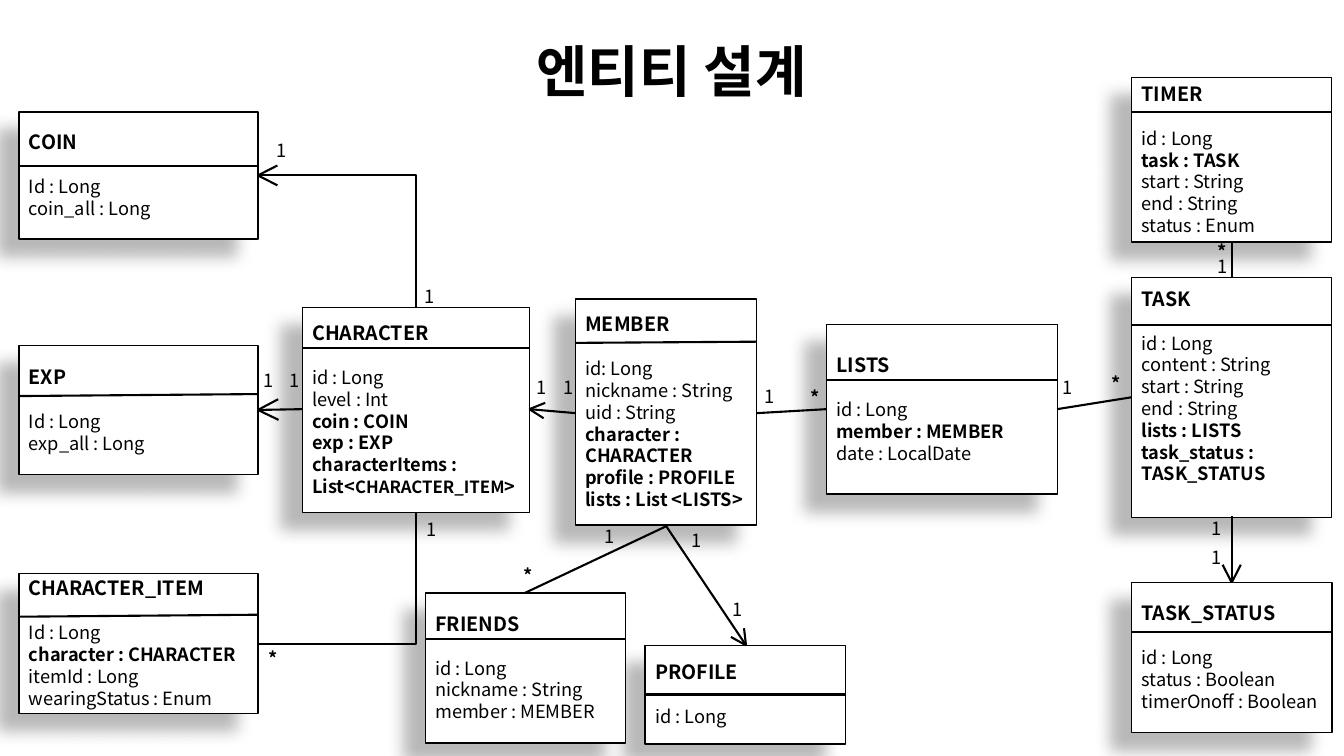
from dataclasses import dataclass
from math import atan2, cos, radians, sin

from lxml.etree import SubElement
from pptx import Presentation
from pptx.dml.color import RGBColor
from pptx.enum.shapes import MSO_CONNECTOR, MSO_SHAPE
from pptx.enum.text import MSO_ANCHOR, PP_ALIGN
from pptx.oxml.ns import qn
from pptx.util import Cm, Pt


@dataclass(frozen=True)
class Theme:
    font: str = "Noto Sans CJK KR"
    ink: RGBColor = RGBColor(0, 0, 0)
    paper: RGBColor = RGBColor(255, 255, 255)
    title: int = 40
    heading: int = 14
    body: int = 13
    small: int = 12
    line_pitch: float = 15.6
    outline: float = 1
    stroke: float = 1.5


THEME = Theme()

# name: left, top, width, height, divider start and end height, attributes
# (a leading "!" marks a relation, set in bold; "|" parts off a smaller span)
ENTITIES = {
    "COIN": (0.48, 2.82, 6.02, 3.2, 4.19, 4.19,
             ["Id : Long", "coin_all : Long"]),
    "EXP": (0.48, 8.71, 6.02, 3.25, 9.98, 9.93,
            ["Id : Long", "exp_all : Long"]),
    "CHARACTER_ITEM": (0.48, 14.45, 6.02, 3.53, 15.54, 15.49,
                       ["Id : Long", "!character : CHARACTER",
                        "itemId : Long", "wearingStatus : Enum"]),
    "CHARACTER": (7.62, 7.75, 5.72, 5.16, 8.76, 8.76,
                  ["id : Long", "level : Int", "!coin : COIN", "!exp : EXP",
                   "!characterItems : List<|CHARACTER_ITEM|>"]),
    "MEMBER": (14.5, 7.54, 4.57, 5.69, 8.64, 8.61,
               ["id: Long", "nickname : String", "uid : String",
                "!character : CHARACTER", "!profile : PROFILE",
                "!lists : List <LISTS>"]),
    "PROFILE": (16.26, 16.26, 5.05, 2.49, 17.5, 17.5, ["id : Long"]),
    "LISTS": (20.83, 8.18, 5.82, 4.27, 9.58, 9.58,
              ["id : Long", "!member : MEMBER", "date : LocalDate"]),
    "TASK": (28.52, 6.99, 5.03, 6.05, 8.18, 8.18,
             ["id : Long", "content : String", "start : String",
              "end : String", "!lists : LISTS",
              "!task_status : TASK_STATUS"]),
    "TASK_STATUS": (28.52, 14.68, 5.05, 3.78, 15.93, 15.93,
                    ["id : Long", "status : Boolean",
                     "timerOnoff : Boolean"]),
    "TIMER": (28.52, 1.96, 5.03, 4.14, 2.82, 2.82,
              ["id : Long", "!task : TASK", "start : String",
               "end : String", "status : Enum"]),
    "FRIENDS": (10.72, 14.94, 5.05, 3.78, 16.1, 16.1,
                ["id : Long", "nickname : String", "member : MEMBER"]),
}
EXTRA_BOTTOM = {"TASK": 0.55}

PLAIN_LINKS = [
    ((31.04, 6.1), (31.04, 6.99)),      # TIMER - TASK
    ((19.08, 10.41), (20.83, 10.31)),   # MEMBER - LISTS
    ((26.64, 10.31), (28.52, 10.01)),   # LISTS - TASK
    ((16.79, 13.26), (13.23, 14.94)),   # MEMBER - FRIENDS
]
# start, tip, wing length
ARROW_LINKS = [
    ((31.04, 13.0), (31.04, 14.68), 0.5),    # TASK to TASK_STATUS
    ((7.62, 10.31), (6.5, 10.33), 0.58),     # CHARACTER to EXP
    ((14.5, 10.41), (13.34, 10.31), 0.43),   # MEMBER to CHARACTER
    ((16.79, 13.26), (18.8, 16.26), 0.43),   # MEMBER to PROFILE
]
COIN_END, CHARACTER_TOP = (6.5, 4.42), (10.49, 7.75)
ITEM_END, CHARACTER_BOTTOM = (6.53, 16.23), (10.49, 12.9)

MULTIPLICITIES = {
    "1": [(7.04, 9.17), (6.38, 9.17), (13.94, 9.37), (13.26, 9.35),
          (10.44, 7.06), (10.49, 12.93), (6.71, 3.38), (17.17, 13.21),
          (18.21, 14.96), (14.99, 13.11), (19.02, 9.58), (26.52, 9.35),
          (30.28, 12.9), (30.28, 13.64), (30.43, 6.32)],
    "*": [(6.53, 16.18), (20.17, 9.6), (30.43, 5.92), (27.76, 9.25),
          (12.95, 14.1)],
}


def style_paragraph(para, size, bold=False):
    font = para.font
    font.size, font.bold, font.name = Pt(size), bold, THEME.font
    font.color.rgb = THEME.ink
    defaults = para._p.get_or_add_pPr().get_or_add_defRPr()
    SubElement(defaults, qn("a:ea"), typeface=THEME.font)


def add_shadow(box):
    effects = SubElement(box._element.spPr, qn("a:effectLst"))
    shadow = SubElement(effects, qn("a:outerShdw"), blurRad="150000",
                        dist="250000", dir="8460000", algn="ctr",
                        rotWithShape="0")
    color = SubElement(shadow, qn("a:srgbClr"), val=str(THEME.ink))
    SubElement(color, qn("a:alpha"), val="28000")


def add_line(page, start, end, kind=MSO_CONNECTOR.STRAIGHT):
    line = page.shapes.add_connector(kind, *map(Cm, (*start, *end)))
    line.line.color.rgb = THEME.ink
    line.line.width = Pt(THEME.stroke)
    SubElement(line._element.spPr, qn("a:effectLst"))
    return line


def add_elbow(page, start, end):
    """Run sideways from start, then turn once towards end."""
    line = add_line(page, start, end, MSO_CONNECTOR.ELBOW)
    line._element.spPr.find(qn("a:prstGeom")).set("prst", "bentConnector2")


def add_arrowhead(page, tail, tip, length):
    back = atan2(tail[1] - tip[1], tail[0] - tip[0])
    for turn in (-radians(27), radians(27)):
        wing = (round(tip[0] + length * cos(back + turn), 2),
                round(tip[1] + length * sin(back + turn), 2))
        add_line(page, wing, tip)


def add_entity(page, name, left, top, width, height, start_y, end_y, rows):
    box = page.shapes.add_shape(MSO_SHAPE.RECTANGLE,
                                *map(Cm, (left, top, width, height)))
    box.fill.solid()
    box.fill.fore_color.rgb = THEME.paper
    box.line.color.rgb = THEME.ink
    box.line.width = Pt(THEME.outline)
    add_shadow(box)

    frame = box.text_frame
    frame.word_wrap = True
    frame.vertical_anchor = MSO_ANCHOR.MIDDLE
    frame.margin_bottom = Cm(0.13 + EXTRA_BOTTOM.get(name, 0))
    for index, row in enumerate(["!" + name, *rows]):
        para = frame.paragraphs[0] if index == 0 else frame.add_paragraph()
        para.alignment = PP_ALIGN.LEFT
        para.line_spacing = Pt(THEME.line_pitch)
        if index == 1:
            para.space_before = Pt(THEME.line_pitch)
        for part, text in enumerate(row.lstrip("!").split("|")):
            span = para.add_run()
            span.text = text
            if part == 1:
                span.font.size = Pt(THEME.small)
        style_paragraph(para, THEME.body if index else THEME.heading,
                        row.startswith("!"))
    add_line(page, (left, start_y), (left + width, end_y))


def add_multiplicity(page, text, left, top):
    box = page.shapes.add_textbox(Cm(left), Cm(top), Cm(0.79), Cm(0.81))
    box.text_frame.word_wrap = True
    para = box.text_frame.paragraphs[0]
    para.text = text
    para.line_spacing = Pt(THEME.line_pitch)
    style_paragraph(para, THEME.body, text == "*")


def add_title(page, text):
    title = page.shapes.title
    title.left, title.top, title.width, title.height = map(
        Cm, (0.81, 0.79, 32.23, 1.96))
    title.text_frame.vertical_anchor = MSO_ANCHOR.MIDDLE
    para = title.text_frame.paragraphs[0]
    para.text = text
    para.alignment = PP_ALIGN.CENTER
    style_paragraph(para, THEME.title, True)


def main():
    deck = Presentation()
    deck.slide_width, deck.slide_height = Cm(33.87), Cm(19.05)
    page = deck.slides.add_slide(deck.slide_layouts[5])
    add_title(page, "엔티티 설계")

    # Entity boxes
    for name, details in ENTITIES.items():
        add_entity(page, name, *details)

    # Relations
    for start, end in PLAIN_LINKS:
        add_line(page, start, end)
    for start, tip, length in ARROW_LINKS:
        add_line(page, start, tip)
        add_arrowhead(page, start, tip, length)
    add_elbow(page, ITEM_END, CHARACTER_BOTTOM)
    add_elbow(page, COIN_END, CHARACTER_TOP)
    add_arrowhead(page, (CHARACTER_TOP[0], COIN_END[1]), COIN_END, 0.55)

    # Multiplicities
    for text, places in MULTIPLICITIES.items():
        for left, top in places:
            add_multiplicity(page, text, left, top)

    deck.save("out.pptx")


main()
